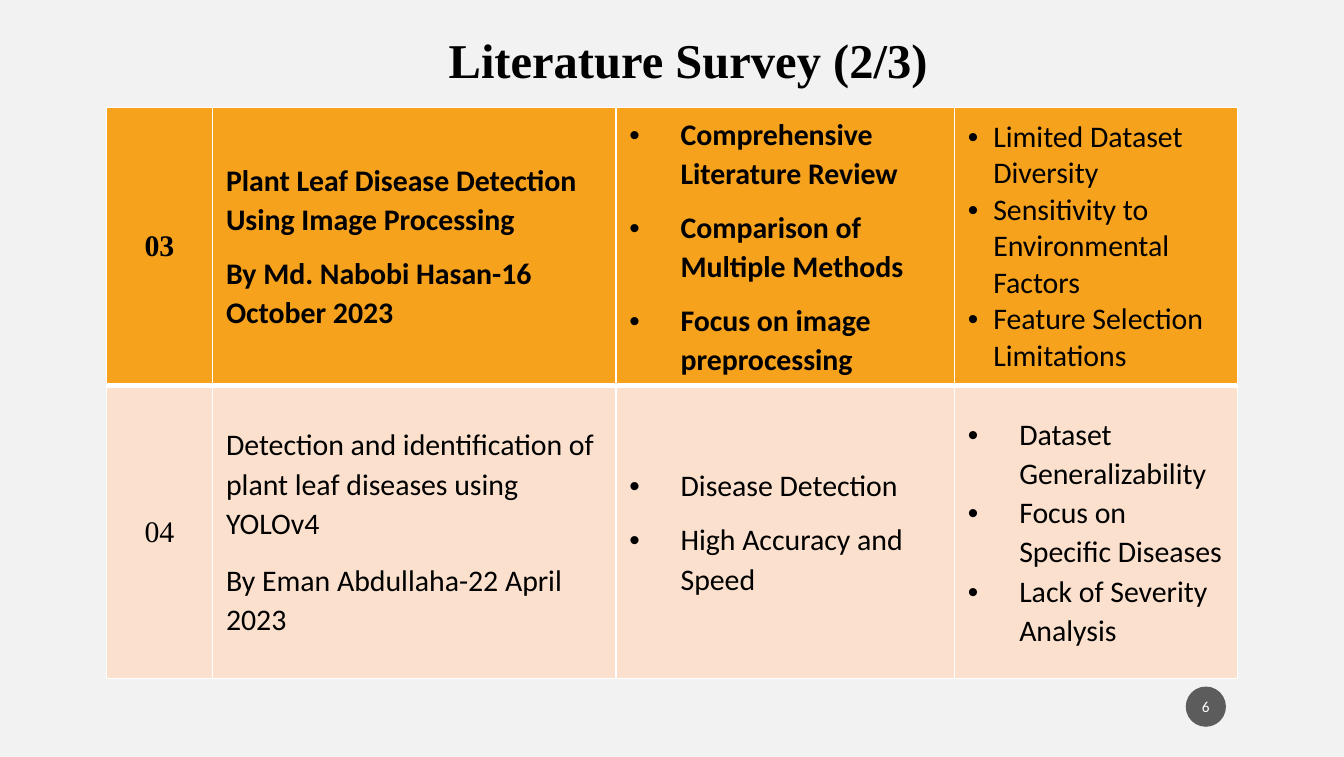
from lxml import etree
from pptx import Presentation
from pptx.dml.color import RGBColor
from pptx.enum.shapes import MSO_SHAPE
from pptx.enum.text import MSO_ANCHOR, MSO_AUTO_SIZE, PP_ALIGN
from pptx.oxml.ns import qn
from pptx.util import Cm, Pt

OVAL = MSO_SHAPE.OVAL
MIDDLE, TOP = MSO_ANCHOR.MIDDLE, MSO_ANCHOR.TOP
LEFT, CENTER = PP_ALIGN.LEFT, PP_ALIGN.CENTER
FIXED = MSO_AUTO_SIZE.NONE

SERIF, SANS = "Times New Roman", "Calibri"
BLACK, WHITE = "000000", "FFFFFF"
WIDE, SMALL = 0.97, 0.48  # hanging indents in cm
COLS = (2.01, 7.62, 6.4, 5.35)
ROWS = (5.23, 5.54)
FILLS = ("F6A21D", "FBE0CD")

# Each cell: its paragraphs and their format
CELLS = (
    (
        (["03"], dict(face=SERIF, bold=True, align=CENTER)),
        (["Plant Leaf Disease Detection Using Image Processing",
          "By Md. Nabobi Hasan-16 October 2023"],
         dict(bold=True, lead=1.07, after=8)),
        (["Comprehensive Literature Review",
          "Comparison of Multiple Methods",
          "Focus on image preprocessing"],
         dict(bold=True, lead=1.07, before=2, after=6, hang=WIDE)),
        (["Limited Dataset Diversity",
          "Sensitivity to Environmental Factors",
          "Feature Selection Limitations"],
         dict(hang=SMALL)),
    ),
    (
        (["04"], dict(face=SERIF, align=CENTER)),
        (["Detection and identification of plant leaf diseases using YOLOv4",
          "By Eman Abdullaha-22 April 2023"],
         dict(lead=1.07, before=2, after=8)),
        (["Disease Detection", "High Accuracy and Speed"],
         dict(lead=1.07, before=2, after=6, hang=WIDE)),
        (["Dataset Generalizability", "Focus on Specific Diseases",
          "Lack of Severity Analysis"],
         dict(lead=1.07, hang=WIDE)),
    ),
)


def paint(fill, code):
    fill.solid()
    fill.fore_color.rgb = RGBColor.from_string(code)


def add_bullet(para, hang):
    props = para._p.get_or_add_pPr()
    props.set("marL", str(Cm(hang)))
    props.set("indent", str(-Cm(hang)))
    etree.SubElement(props, qn("a:buFont")).set("typeface", "Arial")
    etree.SubElement(props, qn("a:buChar")).set("char", "•")


def write(frame, lines, face=SANS, size=16, color=BLACK, bold=False,
          align=LEFT, lead=1, before=0, after=0, hang=0):
    for i, line in enumerate(lines):
        para = frame.add_paragraph() if i else frame.paragraphs[0]
        if hang:
            add_bullet(para, hang)
        para.alignment = align
        para.line_spacing = lead
        para.space_before = Pt(before if i else 0)
        para.space_after = Pt(after)
        run = para.add_run()
        run.text = line
        font = run.font
        font.name, font.size, font.bold = face, Pt(size), bold
        font.color.rgb = RGBColor.from_string(color)


def set_pads(frame, side, edge):
    frame.margin_left = frame.margin_right = Cm(side)
    frame.margin_top = frame.margin_bottom = Cm(edge)


def add_edges(cell, top, bottom):
    props = cell._tc.get_or_add_tcPr()
    for tag, width in (("lnL", 1), ("lnR", 1), ("lnT", top), ("lnB", bottom)):
        line = etree.SubElement(props, qn("a:" + tag), w=str(Pt(width)))
        fill = etree.SubElement(line, qn("a:solidFill"))
        etree.SubElement(fill, qn("a:srgbClr"), val=WHITE)


def add_title(slide):
    title = slide.shapes.title
    title.left, title.top = Cm(8.48), Cm(0.54)
    title.width, title.height = Cm(9.73), Cm(1.14)
    frame = title.text_frame
    frame.auto_size = FIXED
    frame.word_wrap = True
    frame.vertical_anchor = TOP
    set_pads(frame, 0, 0.03)
    write(frame, ["Literature Survey (2/3)"], face=SERIF, size=26, bold=True)


def add_survey(slide):
    table = slide.shapes.add_table(
        len(ROWS), len(COLS), Cm(2.01), Cm(2.03),
        Cm(sum(COLS)), Cm(sum(ROWS))).table
    table.first_row = table.horz_banding = False
    for col, width in zip(table.columns, COLS):
        col.width = Cm(width)
    for r, height in enumerate(ROWS):
        table.rows[r].height = Cm(height)
        for c, (lines, form) in enumerate(CELLS[r]):
            cell = table.cell(r, c)
            # A thicker rule parts the two rows
            add_edges(cell, top=3 if r else 1, bottom=1 if r else 3)
            paint(cell.fill, FILLS[r])
            cell.vertical_anchor = MIDDLE
            write(cell.text_frame, lines, **form)


def add_badge(slide, label):
    badge = slide.shapes.add_shape(OVAL, Cm(22.41), Cm(12.97), Cm(0.76), Cm(0.76))
    badge.shadow.inherit = False
    badge.line.fill.background()
    paint(badge.fill, "1D1D1D")
    shade = badge._element.spPr.find(".//" + qn("a:srgbClr"))
    etree.SubElement(shade, qn("a:alpha"), val="70000")
    frame = badge.text_frame
    frame.vertical_anchor = MIDDLE
    set_pads(frame, 0.05, 0.13)
    write(frame, [label], size=8.2, color=WHITE, align=CENTER)


def main():
    deck = Presentation()
    deck.slide_width, deck.slide_height = Cm(25.4), Cm(14.3)
    slide = deck.slides.add_slide(deck.slide_layouts[5])
    paint(slide.background.fill, "F2F2F2")
    add_title(slide)
    add_survey(slide)
    add_badge(slide, "6")
    deck.save("out.pptx")


if __name__ == "__main__":
    main()
